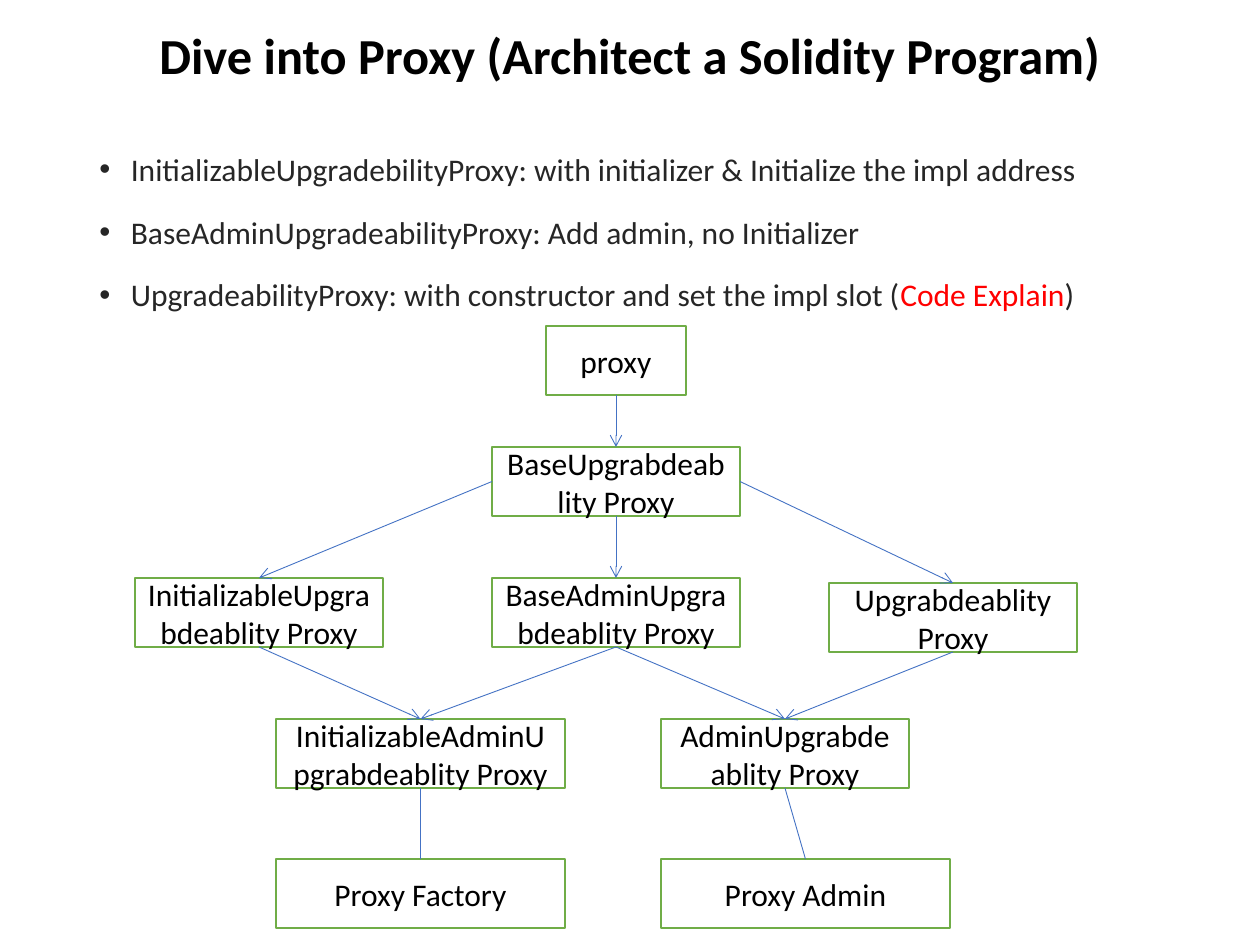
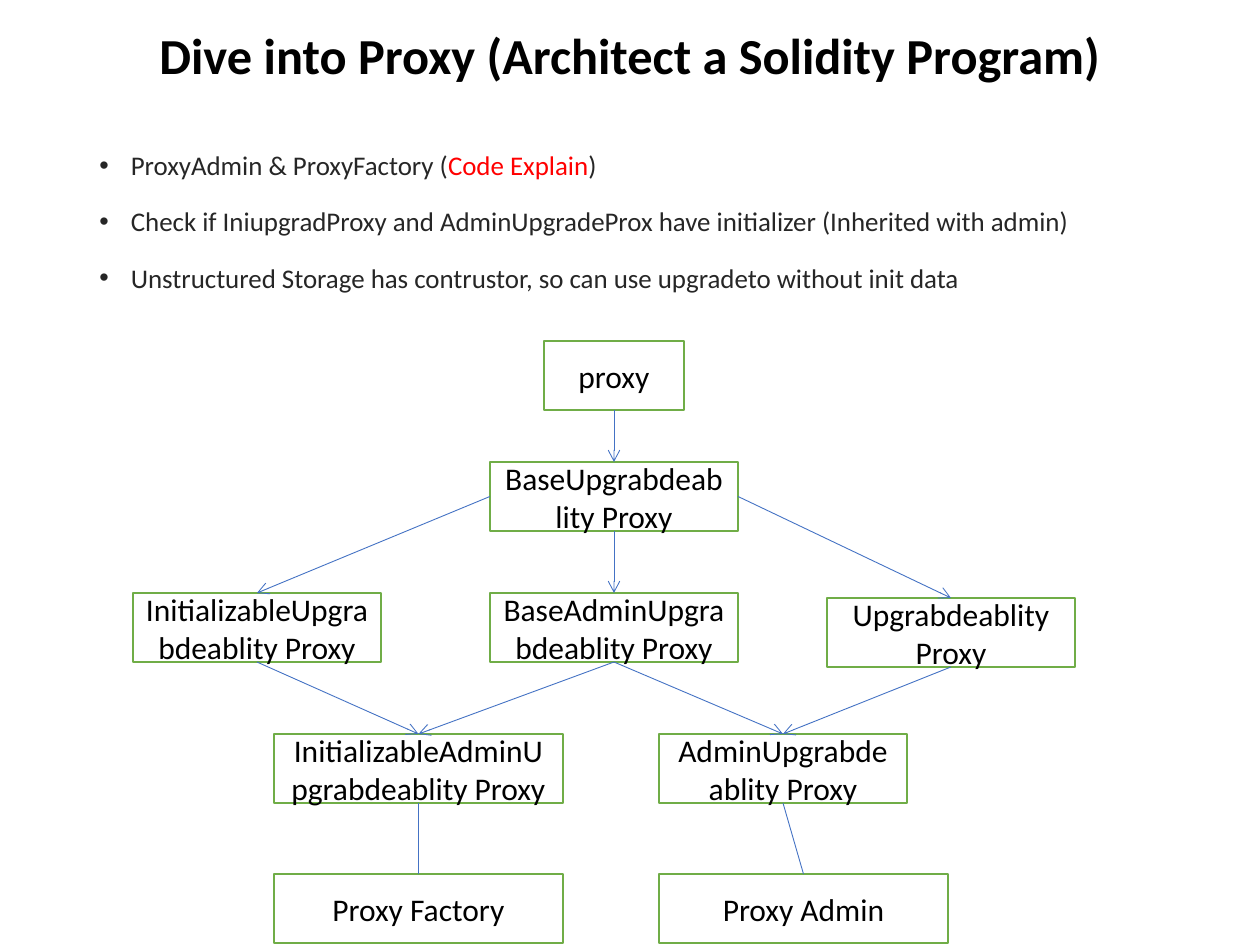
import lxml.etree
import pptx
import pptx.dml.color
import pptx.enum.shapes
import pptx.enum.text
import pptx.oxml.ns
import pptx.util

EMU_PER_PX = 914400 / 126
FONT = "Calibri"
COLORS = {
    "background": "FFFFFF",
    "title": "000000",
    "body": "262626",
    "highlight": "FF0000",
    "box_fill": "FFFFFF",
    "box_line": "70AD47",
    "box_text": "000000",
    "arrow": "4472C4",
}
TITLE = "Dive into Proxy (Architect a Solidity Program)"
HIGHLIGHT = "Code Explain"
BOX_HEIGHT = 69
TOP, LEFT, BOTTOM, RIGHT = range(4)

CONTRACTS = {
    "proxy": ("proxy", 546, 326, 140),
    "initializable": ("InitializableUpgrabdeablity Proxy", 135, 578, 248),
    "base": ("BaseUpgrabdeablity Proxy", 492, 447, 248),
    "base_admin": ("BaseAdminUpgrabdeablity Proxy", 492, 578, 248),
    "upgradeable": ("Upgrabdeablity Proxy", 829, 583, 248),
    "admin": ("AdminUpgrabdeablity Proxy", 661, 719, 248),
    "initializable_admin": ("InitializableAdminUpgrabdeablity Proxy", 276, 719, 289),
    "factory": ("Proxy Factory", 276, 859, 289),
    "proxy_admin": ("Proxy Admin", 661, 859, 289),
}
INHERITANCE = [
    ("proxy", BOTTOM, "base"),
    ("base", LEFT, "initializable"),
    ("base", BOTTOM, "base_admin"),
    ("base", RIGHT, "upgradeable"),
    ("base_admin", BOTTOM, "admin"),
    ("upgradeable", BOTTOM, "admin"),
    ("base_admin", BOTTOM, "initializable_admin"),
    ("initializable", BOTTOM, "initializable_admin"),
]
USAGE = [
    ("initializable_admin", BOTTOM, "factory"),
    ("admin", BOTTOM, "proxy_admin"),
]

SLIDES = [
    {
        "bullets": [
            "InitializableUpgradebilityProxy: with initializer & Initialize the impl address",
            "BaseAdminUpgradeabilityProxy: Add admin, no Initializer",
            "UpgradeabilityProxy: with constructor and set the impl slot (Code Explain)",
        ],
        "size": 18,
        "offset": (0, 0),
    },
    {
        "bullets": [
            "ProxyAdmin & ProxyFactory (Code Explain)",
            "Check if IniupgradProxy and AdminUpgradeProx have initializer (Inherited with admin)",
            "Unstructured Storage has contrustor, so can use upgradeto without init data",
        ],
        "size": 15.4,
        "offset": (-2, 15),
    },
]


def px(length):
    return pptx.util.Emu(round(length * EMU_PER_PX))


def color(name):
    return pptx.dml.color.RGBColor.from_string(COLORS[name])


def add_element(parent, tag, **attributes):
    return lxml.etree.SubElement(parent, pptx.oxml.ns.qn(tag), attributes)


def format_run(run, size, color_name, bold=False):
    run.font.name = FONT
    run.font.size = pptx.util.Pt(size)
    run.font.bold = bold
    run.font.color.rgb = color(color_name)


def add_text_frame(slide, left, top, width, height):
    text_box = slide.shapes.add_textbox(px(left), px(top), px(width), px(height))
    text_box.text_frame.word_wrap = True
    return text_box.text_frame


def add_title(slide):
    text_frame = add_text_frame(slide, 87, 22, 1086, 73)
    text_frame.vertical_anchor = pptx.enum.text.MSO_ANCHOR.MIDDLE
    text_frame.text = TITLE
    paragraph = text_frame.paragraphs[0]
    paragraph.alignment = pptx.enum.text.PP_ALIGN.CENTER
    paragraph.line_spacing = 0.9
    format_run(paragraph.runs[0], 28.8, "title", bold=True)


def format_bullet(paragraph):
    paragraph.line_spacing = 1.2
    paragraph.space_before = pptx.util.Pt(10)
    indent = pptx.util.Inches(0.25)
    properties = paragraph._p.get_or_add_pPr()
    properties.set("marL", str(indent))
    properties.set("indent", str(-indent))
    add_element(properties, "a:buFont", typeface="Arial")
    add_element(properties, "a:buChar", char="•")


def add_bullets(slide, bullets, size):
    text_frame = add_text_frame(slide, 87, 136, 1086, 772)
    text_frame.text = "\n".join(bullets)
    for paragraph, bullet in zip(text_frame.paragraphs, bullets):
        before, highlight, after = bullet.partition(HIGHLIGHT)
        paragraph.text = before
        for part in filter(None, (highlight, after)):
            paragraph.add_run().text = part
        format_bullet(paragraph)
        for run in paragraph.runs:
            format_run(run, size, "highlight" if run.text == HIGHLIGHT else "body")


def add_box(slide, text, left, top, width):
    shape = slide.shapes.add_shape(
        pptx.enum.shapes.MSO_SHAPE.RECTANGLE, px(left), px(top), px(width), px(BOX_HEIGHT)
    )
    shape.shadow.inherit = False
    shape.fill.solid()
    shape.fill.fore_color.rgb = color("box_fill")
    shape.line.color.rgb = color("box_line")
    shape.line.width = pptx.util.Pt(1)
    text_frame = shape.text_frame
    text_frame.word_wrap = True
    text_frame.vertical_anchor = pptx.enum.text.MSO_ANCHOR.MIDDLE
    text_frame.text = text
    paragraph = text_frame.paragraphs[0]
    paragraph.alignment = pptx.enum.text.PP_ALIGN.CENTER
    format_run(paragraph.runs[0], 18, "box_text")
    return shape


def add_link(slide, source, side, target, arrow):
    connector = slide.shapes.add_connector(
        pptx.enum.shapes.MSO_CONNECTOR.STRAIGHT, 0, 0, 0, 0
    )
    connector.begin_connect(source, side)
    connector.end_connect(target, TOP)
    connector.line.color.rgb = color("arrow")
    connector.line.width = pptx.util.Pt(0.5)
    properties = connector._element.spPr
    if arrow:
        add_element(properties.find(pptx.oxml.ns.qn("a:ln")), "a:tailEnd", type="arrow")
    add_element(properties, "a:effectLst")


def add_contract_diagram(slide, offset):
    shift_x, shift_y = offset
    boxes = {
        name: add_box(slide, text, left + shift_x, top + shift_y, width)
        for name, (text, left, top, width) in CONTRACTS.items()
    }
    for links, arrow in ((INHERITANCE, True), (USAGE, False)):
        for source, side, target in links:
            add_link(slide, boxes[source], side, boxes[target], arrow)


def add_slide(presentation, content):
    slide = presentation.slides.add_slide(presentation.slide_layouts[6])
    slide.background.fill.solid()
    slide.background.fill.fore_color.rgb = color("background")
    add_title(slide)
    add_bullets(slide, content["bullets"], content["size"])
    add_contract_diagram(slide, content["offset"])


def main():
    presentation = pptx.Presentation()
    presentation.slide_width = px(1260)
    presentation.slide_height = px(945)
    for content in SLIDES:
        add_slide(presentation, content)
    presentation.save("out.pptx")


if __name__ == "__main__":
    main()
